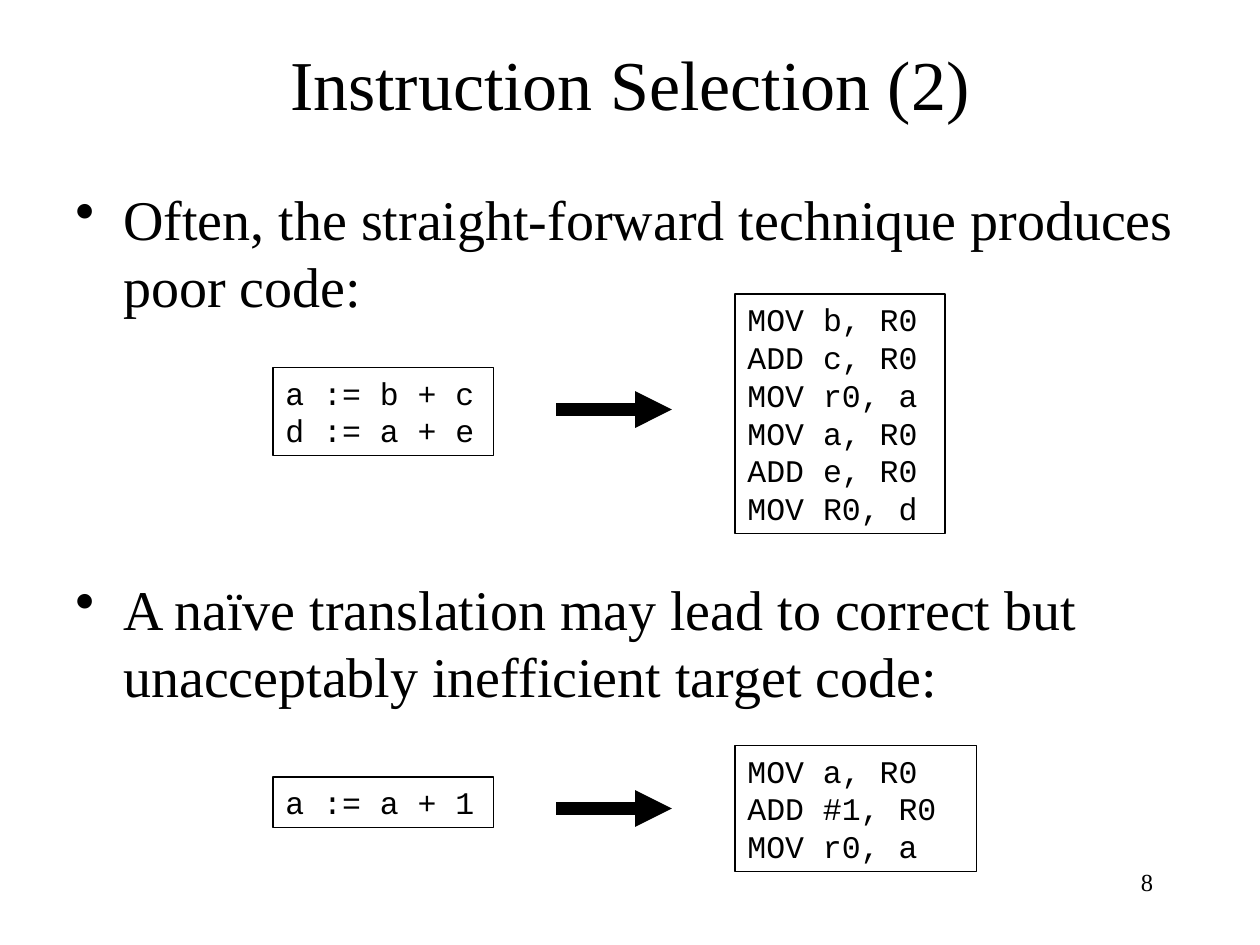
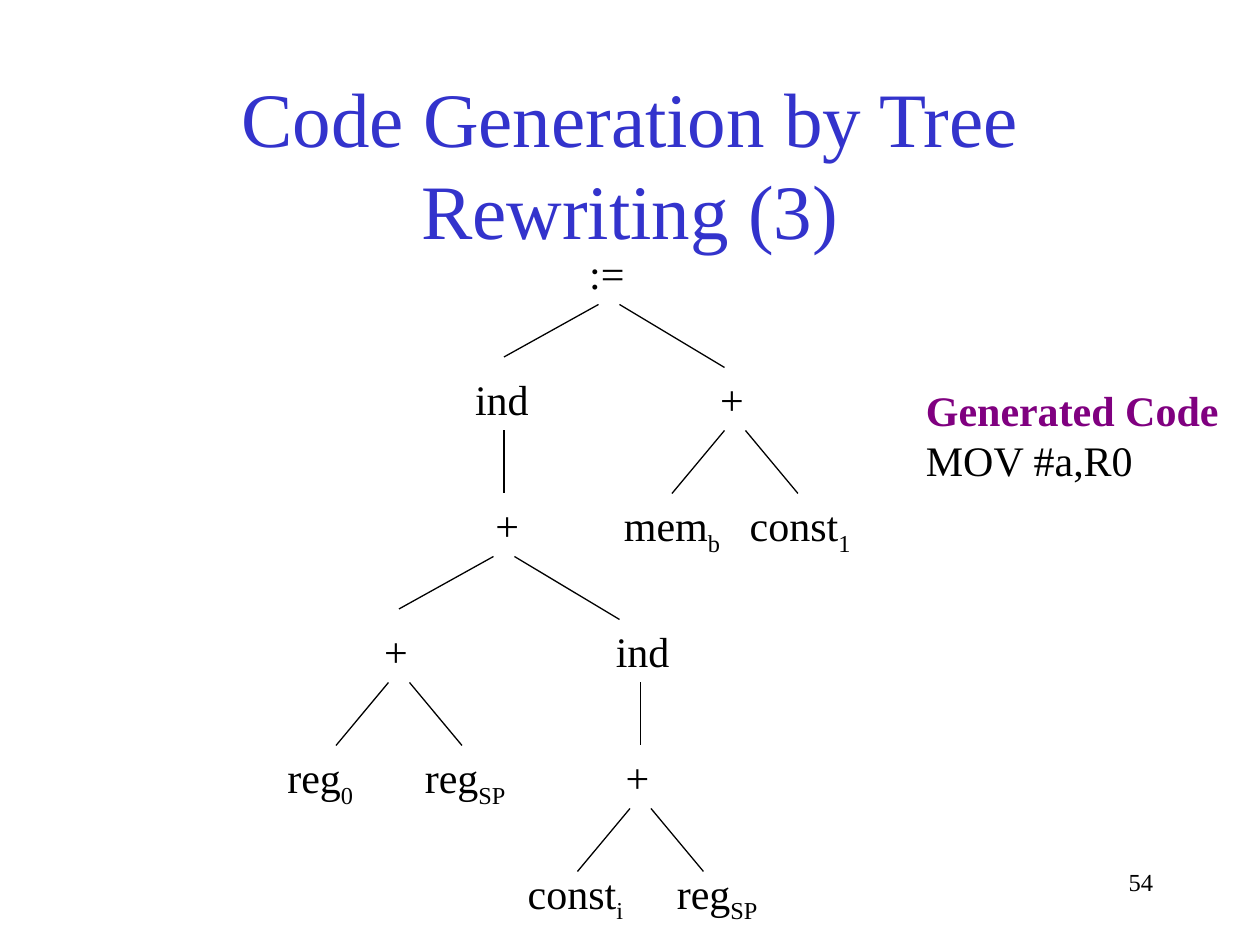
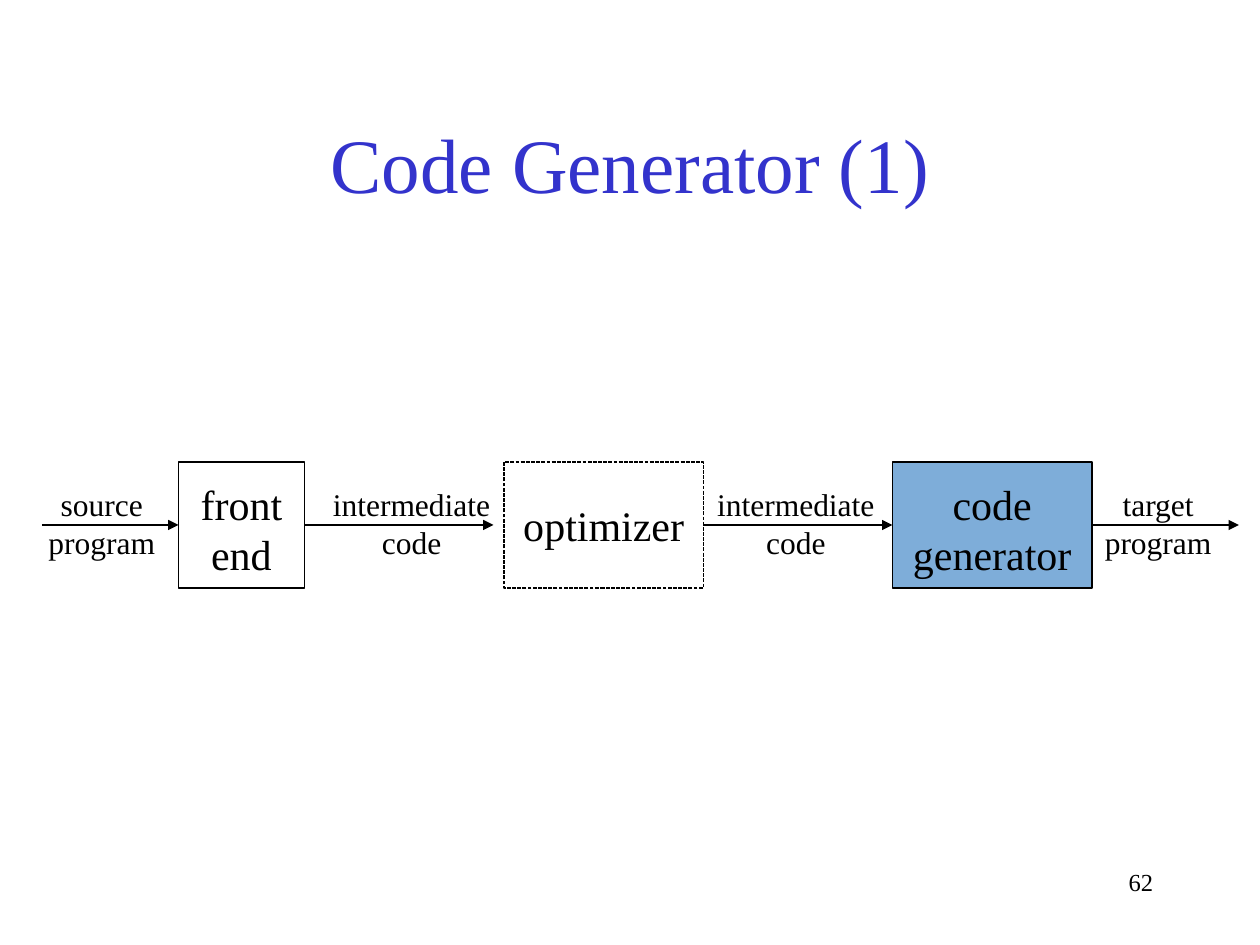
from dataclasses import dataclass

from lxml.etree import SubElement
from pptx import Presentation
from pptx.dml.color import RGBColor
from pptx.enum.dml import MSO_LINE
from pptx.enum.shapes import MSO_CONNECTOR, MSO_SHAPE
from pptx.enum.text import MSO_ANCHOR, PP_ALIGN
from pptx.oxml.ns import qn
from pptx.util import Inches, Pt

COLUMNS, ROWS = 120, 90
CELL = Inches(10) // COLUMNS


@dataclass(frozen=True)
class Theme:
    serif: str = "Times New Roman"
    mono: str = "Courier New"
    black: str = "000000"
    white: str = "FFFFFF"
    title: str = "3333CC"
    heading: str = "800080"
    highlight: str = "7EADD9"
    title_size: int = 44
    small_title_size: int = 40
    body_size: int = 32
    label_size: int = 24
    note_size: int = 18
    number_size: int = 14
    thin: float = 0.75
    thick: float = 7


THEME = Theme()
TITLE_BOX = (9, 8, 102, 15)
NUMBER_BOX = (86, 82, 25, 6)


def grid(*cells):
    """Turn grid columns and rows into slide lengths."""
    return [round(cell * CELL) for cell in cells]


def style(para, size, font=THEME.serif, color=THEME.black, bold=False,
          align=PP_ALIGN.LEFT):
    para.alignment = align
    para.font.name = font
    para.font.size = Pt(size)
    para.font.color.rgb = RGBColor.from_string(color)
    para.font.bold = bold


def write(shape, lines, size, anchor=MSO_ANCHOR.TOP, **look):
    """Fill a shape with one paragraph for each line and return them."""
    frame = shape.text_frame
    frame.word_wrap = True
    frame.vertical_anchor = anchor
    frame.text = "\n".join(lines)
    for para in frame.paragraphs:
        style(para, size, **look)
    return frame.paragraphs


def text(page, box, lines, size, **look):
    return write(page.shapes.add_textbox(*grid(*box)), lines, size, **look)


def rectangle(page, box, fill=None):
    shape = page.shapes.add_shape(MSO_SHAPE.RECTANGLE, *grid(*box))
    shape.shadow.inherit = False
    if fill:
        shape.fill.solid()
        shape.fill.fore_color.rgb = RGBColor.from_string(fill)
    else:
        shape.fill.background()
    shape.line.color.rgb = RGBColor.from_string(THEME.black)
    shape.line.width = Pt(THEME.thin)
    return shape


def line(page, start, end, width=THEME.thin, arrow=False):
    connector = page.shapes.add_connector(
        MSO_CONNECTOR.STRAIGHT, *grid(*start, *end))
    connector.line.color.rgb = RGBColor.from_string(THEME.black)
    connector.line.width = Pt(width)
    if arrow:
        SubElement(connector.line._get_or_add_ln(), qn("a:tailEnd"),
                   type="triangle")
    SubElement(connector._element.spPr, qn("a:effectLst"))


def add_page(deck, title, number, box=TITLE_BOX, size=THEME.title_size,
             color=THEME.title):
    """Add a blank slide with its title and page number."""
    page = deck.slides.add_slide(deck.slide_layouts[6])
    text(page, box, [title], size, color=color, align=PP_ALIGN.CENTER,
         anchor=MSO_ANCHOR.MIDDLE)
    text(page, NUMBER_BOX, [str(number)], THEME.number_size,
         align=PP_ALIGN.RIGHT)
    return page


def bullets(page, box, lines, gap):
    paras = text(page, box, lines, THEME.body_size)
    for para in paras:
        properties = para._p.get_or_add_pPr()
        properties.set("marL", str(Inches(0.38)))
        properties.set("indent", str(-Inches(0.38)))
        bullet = SubElement(properties, qn("a:buChar"), char="•")
        properties.find(qn("a:defRPr")).addprevious(bullet)
    for para in paras[1:]:
        para.space_before = Pt(gap)


def translation(page, row, source, target):
    """Draw source code, an arrow on the given row, and target code.

    Each code block is (top, width, height, lines), its top relative to row.
    """
    for left, (top, width, height, lines) in ((26, source), (70, target)):
        block = rectangle(page, (left, row + top, width, height))
        write(block, lines, THEME.note_size, font=THEME.mono)
    line(page, (53, row), (64, row), THEME.thick, arrow=True)


def selection_slide(deck):
    page = add_page(deck, "Instruction Selection (2)", 8, (6, 2, 108, 11.8),
                    THEME.small_title_size, THEME.black)
    bullets(page, (6, 17, 108, 59.4), [
        "Often, the straight-forward technique produces poor code:",
        "A naïve translation may lead to correct but unacceptably "
        "inefficient target code:"], gap=146)
    translation(page, 39,
                (-4, 21, 8.4, ["a := b + c", "d := a + e"]),
                (-11, 20, 22.8, ["MOV b, R0", "ADD c, R0", "MOV r0, a",
                                 "MOV a, R0", "ADD e, R0", "MOV R0, d"]))
    translation(page, 77,
                (-3, 21, 4.8, ["a := a + 1"]),
                (-6, 23, 12, ["MOV a, R0", "ADD #1, R0", "MOV r0, a"]))


# Label, subscript, centre column, top row
NODES = [
    (":=", "", 57.8, 23),
    ("ind", "", 47.8, 35), ("+", "", 69.7, 35),
    ("+", "", 48.3, 47), ("mem", "b", 64, 47), ("const", "1", 76.2, 47),
    ("+", "", 37.7, 59), ("ind", "", 61.2, 59),
    ("reg", "0", 30.5, 71), ("reg", "SP", 44.3, 71), ("+", "", 60.7, 71),
    ("const", "i", 54.8, 82), ("reg", "SP", 68.3, 82),
]
# Foot of a parent node: ends of its branches
BRANCHES = {
    (58, 29): [(48, 34), (69, 35)],
    (70, 41): [(64, 47), (76, 47)],
    (48, 41): [(48, 47)],
    (48, 53): [(38, 58), (59, 59)],
    (38, 65): [(32, 71), (44, 71)],
    (61, 65): [(61, 71)],
    (61, 77): [(55, 83), (67, 83)],
}


def tree_node(page, label, subscript, centre, top, width=16):
    para = text(page, (centre - width / 2, top, width, 6), [label],
                THEME.label_size, align=PP_ALIGN.CENTER)[0]
    if subscript:
        span = para.add_run()
        span.text = subscript
        span.font._element.set("baseline", "-25000")


def tree_slide(deck):
    page = add_page(deck, "Code Generation by Tree Rewriting (3)", 54)
    for node in NODES:
        tree_node(page, *node)
    for (column, row), ends in BRANCHES.items():
        for end in ends:
            side = (end[0] > column) - (end[0] < column)
            line(page, (column + side, row), end)
    heading, _ = text(page, (87, 36, 32, 10.8),
                      ["Generated Code", "MOV #a,R0"], THEME.label_size)
    style(heading, THEME.label_size, color=THEME.heading, bold=True)


def stage(page, left, width, lines, fill=THEME.white, dashed=False):
    shape = rectangle(page, (left, 44, width, 12), fill)
    if dashed:
        shape.line.dash_style = MSO_LINE.SQUARE_DOT
    write(shape, lines, THEME.label_size, align=PP_ALIGN.CENTER,
          anchor=MSO_ANCHOR.MIDDLE)
    if len(lines) > 1:
        shape.text_frame.margin_top = Inches(0.11)


def flow(page, start, end, centre, lines, width=20):
    """Draw an arrow between two columns with its label across it."""
    text(page, (centre - width / 2, 45.6, width, 8.4), lines,
         THEME.note_size, align=PP_ALIGN.CENTER)
    line(page, (start, 50), (end, 50), arrow=True)


def generator_slide(deck):
    page = add_page(deck, "Code Generator (1)", 62)
    stage(page, 17, 12, ["front", "end"])
    stage(page, 48, 19, ["optimizer"], dashed=True)
    stage(page, 85, 19, ["code", "generator"], THEME.highlight)
    flow(page, 4, 17, 9.7, ["source", "program"])
    flow(page, 29, 47, 39.2, ["intermediate", "code"])
    flow(page, 67, 85, 75.8, ["intermediate", "code"])
    flow(page, 104, 118, 110.3, ["target", "program"])


def main():
    deck = Presentation()
    deck.slide_width, deck.slide_height = grid(COLUMNS, ROWS)
    selection_slide(deck)
    tree_slide(deck)
    generator_slide(deck)
    deck.save("out.pptx")


if __name__ == "__main__":
    main()
